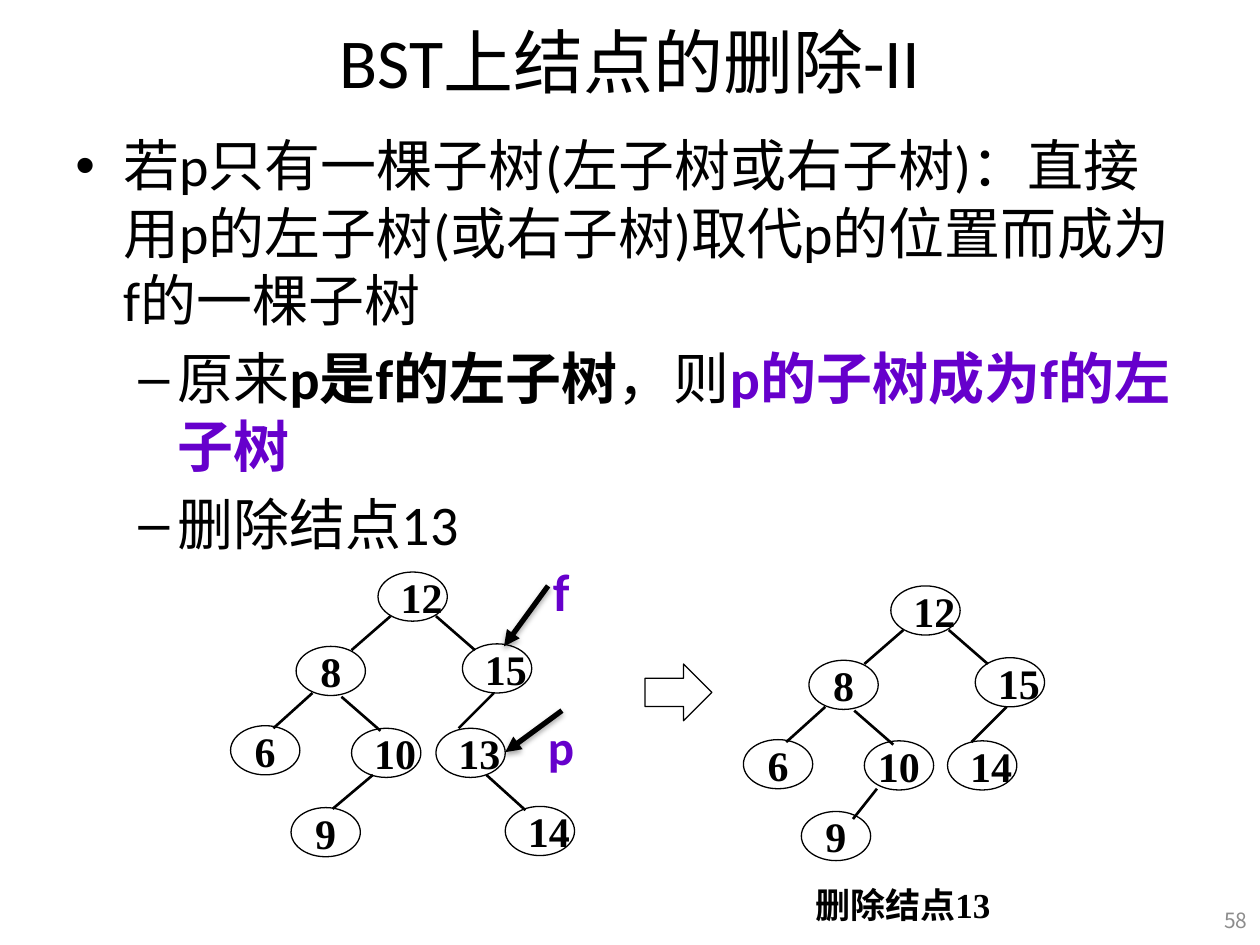
from lxml import etree
from pptx import Presentation
from pptx.dml.color import RGBColor
from pptx.enum.shapes import MSO_CONNECTOR, MSO_SHAPE
from pptx.enum.text import MSO_ANCHOR as ANCHOR, PP_ALIGN as ALIGN
from pptx.oxml.ns import qn
from pptx.util import Inches, Pt

BLACK = RGBColor(0x00, 0x00, 0x00)
PURPLE = RGBColor(0x66, 0x00, 0xCC)
GRAY = RGBColor(0x8C, 0x8C, 0x8C)
SERIF, SANS, CJK = "Times New Roman", "Calibri", "Noto Sans CJK SC"

presentation = Presentation()
presentation.slide_width, presentation.slide_height = Inches(10), Inches(7.5)
slide = presentation.slides.add_slide(presentation.slide_layouts[6])
shapes = slide.shapes

# The slide is a grid of 100 columns by 75 rows
CELL = presentation.slide_width // 100


def add_run(paragraph, text, size, font_name, color=BLACK, bold=False):
    run = paragraph.add_run()
    run.text = text
    run.font.size, run.font.name, run.font.bold = Pt(size), font_name, bold
    run.font.color.rgb = color
    etree.SubElement(run.font._element, qn("a:ea"), typeface=CJK)


def add_line(start, end, width):
    line = shapes.add_connector(
        MSO_CONNECTOR.STRAIGHT, *(round(value * CELL) for value in (*start, *end)))
    line.line.color.rgb, line.line.width = BLACK, Pt(width)
    effects = etree.SubElement(line._element.spPr, qn("a:effectLst"))
    return line, effects


# Single-run text: title, page number, pointer names, caption
LABELS = [
    ((5, -0.3, 90, 10.2), "BST上结点的删除-II", 40, SANS, BLACK, False, ALIGN.CENTER, ANCHOR.MIDDLE, True),
    ((95.7, 71, 4.3, 4), "58", 12, CJK, GRAY, False, ALIGN.RIGHT, ANCHOR.MIDDLE, True),
    ((42.5, 56.4, 4.1, 5.7), "p", 28, SANS, PURPLE, True, ALIGN.LEFT, ANCHOR.TOP, False),
    ((42.9, 43.9, 3.4, 6.1), "f", 30, SANS, PURPLE, True, ALIGN.LEFT, ANCHOR.TOP, False),
    ((63.7, 69.8, 20.8, 3.9), "删除结点13", 20, SERIF, BLACK, True, ALIGN.LEFT, ANCHOR.MIDDLE, False),
]
for box, text, size, font_name, color, bold, align, anchor, wrap in LABELS:
    frame = shapes.add_textbox(*(round(value * CELL) for value in box)).text_frame
    frame.word_wrap, frame.vertical_anchor = wrap, anchor
    frame.paragraphs[0].alignment = align
    add_run(frame.paragraphs[0], text, size, font_name, color, bold)

# Body: one bullet with two sub-points; each run is (text, colour, bold)
BODY = [
    (0, "•", 0.38, 0.38, [
        ("若p只有一棵子树(左子树或右子树)：直接用p的左子树(或右子树)取代p的位置而成为f的一棵子树", BLACK, False)]),
    (1, "–", 0.81, 0.31, [
        ("原来", BLACK, False), ("p是f的左子树", BLACK, True),
        ("，则", BLACK, False), ("p的子树成为f的左子树", PURPLE, True)]),
    (1, "–", 0.81, 0.31, [("删除结点13", BLACK, False)]),
]
frame = shapes.add_textbox(5 * CELL, round(9.9 * CELL), 90 * CELL, round(63.8 * CELL)).text_frame
frame.word_wrap = True
for index, (level, bullet, margin, hanging, runs) in enumerate(BODY):
    paragraph = frame.add_paragraph() if index else frame.paragraphs[0]
    paragraph.level = level
    paragraph.space_before = Pt(6.4 if index else 0)
    properties = paragraph._p.get_or_add_pPr()
    properties.set("marL", str(Inches(margin)))
    properties.set("indent", str(-Inches(hanging)))
    etree.SubElement(properties, qn("a:buFont"), typeface="Arial")
    etree.SubElement(properties, qn("a:buChar"), char=bullet)
    for text, color, bold in runs:
        add_run(paragraph, text, 32, SANS, color, bold)

# Trees: nodes are (key, column, row, alignment), measured from the tree's corner
NODE_WIDTH, NODE_HEIGHT = 5.5, 3.9
SHARED_NODES = [
    ("12", 11.7, 0, ALIGN.LEFT), ("8", 5.2, 5.9, ALIGN.CENTER),
    ("6", 0, 12.2, ALIGN.CENTER), ("15", 18.4, 5.7, ALIGN.LEFT),
]
SHARED_EDGES = [
    ((12.7, 3.5), (9.6, 6.2)), ((16.3, 3.5), (19.4, 6.2)),
    ((6.5, 9.6), (3.4, 12.4)), ((8.8, 9.9), (11.9, 12.6)),
    ((20.9, 9.6), (18.1, 12.4)),
]
TREES = [
    (18.3, 45.4,
     [("10", 9.6, 12.4, ALIGN.LEFT), ("13", 16.3, 12.4, ALIGN.LEFT),
      ("14", 21.8, 18.6, ALIGN.LEFT), ("9", 4.8, 18.7, ALIGN.CENTER)],
     [((20.3, 16.1), (23.4, 18.9)), ((11.3, 16.1), (8.1, 18.8))]),
    (59, 46.5,
     [("10", 9.6, 12.3, ALIGN.CENTER), ("14", 16.2, 12.3, ALIGN.LEFT),
      ("9", 4.6, 17.9, ALIGN.CENTER)],
     [((10.6, 16.1), (8.7, 18.5))]),
]
for left, top, own_nodes, own_edges in TREES:
    for key, column, row, align in SHARED_NODES + own_nodes:
        box = (left + column, top + row, NODE_WIDTH, NODE_HEIGHT)
        node = shapes.add_shape(MSO_SHAPE.OVAL, *(round(value * CELL) for value in box))
        node.shadow.inherit = False
        node.fill.background()
        node.line.color.rgb, node.line.width = BLACK, Pt(0.75)
        frame = node.text_frame
        frame.word_wrap, frame.vertical_anchor = False, ANCHOR.MIDDLE
        frame.paragraphs[0].alignment = align
        add_run(frame.paragraphs[0], key, 24, SERIF, bold=True)
    for start, end in SHARED_EDGES + own_edges:
        add_line(*(((left + x), (top + y)) for x, y in (start, end)), 1.5)

# Block arrow between the trees
block_arrow = shapes.add_shape(
    MSO_SHAPE.RIGHT_ARROW, *(round(value * CELL) for value in (51.2, 52.7, 5.3, 4.5)))
block_arrow.shadow.inherit = False
block_arrow.fill.background()
block_arrow.line.color.rgb, block_arrow.line.width = BLACK, Pt(0.75)

# Pointer arrows for p and f, with a soft shadow
for start, end in [((44.6, 56.4), (40.1, 59.7)), ((43.5, 46.5), (40, 51.3))]:
    pointer, effects = add_line(start, end, 3)
    etree.SubElement(pointer.line._get_or_add_ln(), qn("a:tailEnd"), type="triangle")
    shadow = etree.SubElement(
        effects, qn("a:outerShdw"), blurRad=str(Pt(3.1)), dist=str(Pt(1.8)),
        dir="5400000", rotWithShape="0")
    shadow_color = etree.SubElement(shadow, qn("a:srgbClr"), val=str(BLACK))
    etree.SubElement(shadow_color, qn("a:alpha"), val="35000")

presentation.save("out.pptx")
